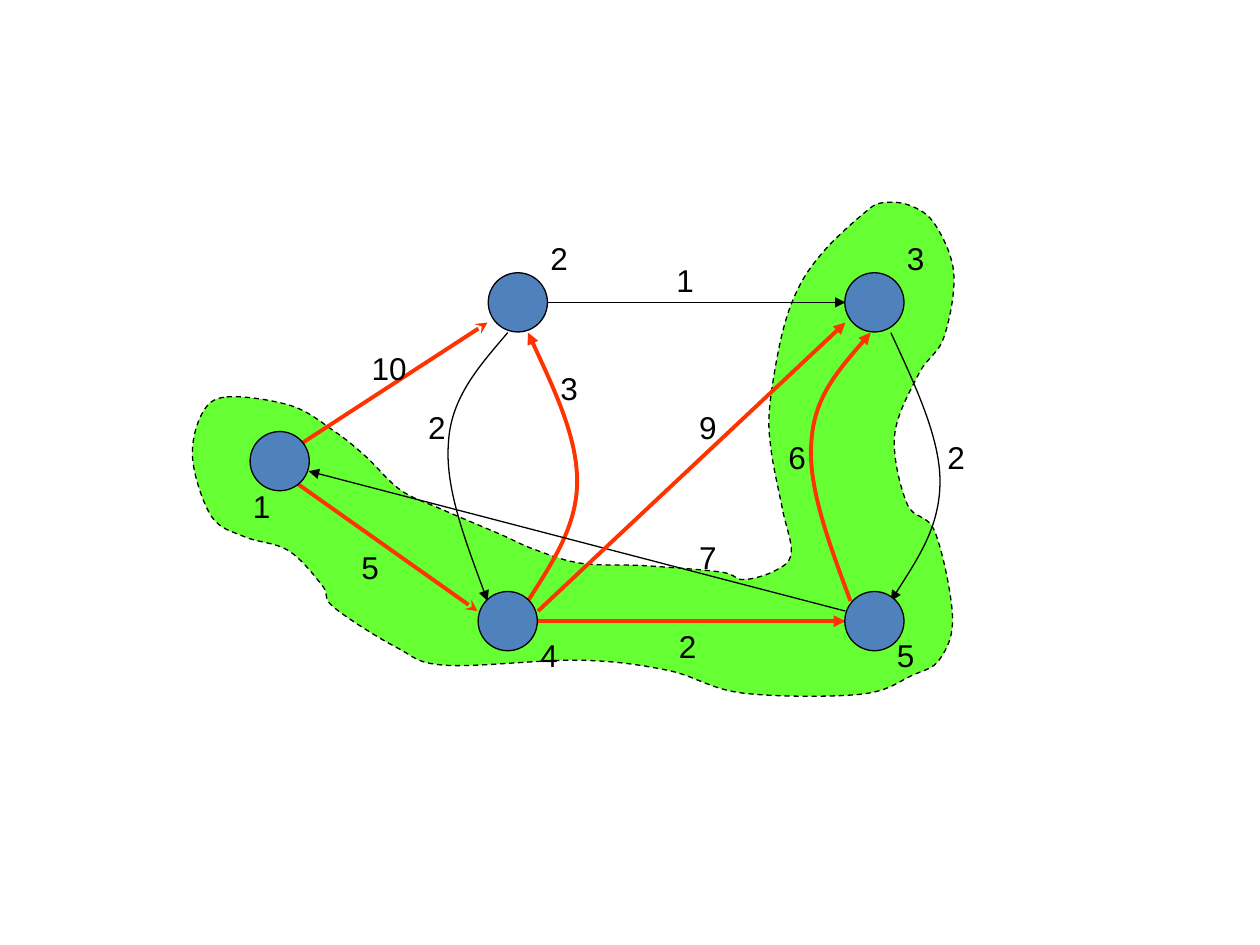
from collections import namedtuple
from lxml.etree import SubElement
from pptx import Presentation
from pptx.dml.color import RGBColor
from pptx.enum.dml import MSO_LINE
from pptx.enum.shapes import MSO_CONNECTOR, MSO_SHAPE
from pptx.oxml.ns import qn
from pptx.util import Inches, Pt

Theme = namedtuple("Theme", "font text_size region node ink chosen thin thick")
THEME = Theme("Arial", 18, "66FF33", "4F81BD", "000000", "FF3300", 0.75, 2.25)
Edge = namedtuple("Edge", "weight label points chosen arrowhead", defaults=(False, "triangle"))
NODE_SIZE = 0.47
LABEL_HEIGHT = 0.4
LABEL_WIDTHS = {1: 0.34, 2: 0.48}
COLUMN_GAP = 2.88

NODES = [
    ("1", (2.22, 3.66), (1.91, 3.82)),
    ("2", (4.11, 2.4), (4.27, 1.85)),
    ("3", (6.94, 2.4), (7.1, 1.85)),
    ("4", (4.03, 4.93), (4.19, 5)),
    ("5", (6.94, 4.93), (7.02, 5)),
]

BOW_RIGHT = [(4.19, 4.77), (4.38, 4.47), (4.58, 4.18), (4.58, 3.82),
             (4.58, 3.47), (4.38, 3.05), (4.19, 2.64)]
BOW_LEFT = [(4.03, 2.64), (3.81, 2.9), (3.58, 3.15), (3.56, 3.51),
            (3.53, 3.86), (3.7, 4.31), (3.87, 4.77)]


def opposite(points):
    return [(x + COLUMN_GAP, y) for x, y in reversed(points)]


EDGES = [
    Edge("10", (2.85, 2.72), [(2.3, 3.58), (3.87, 2.56)], True, "stealth"),
    Edge("1", (5.27, 2.02), [(4.35, 2.4), (6.71, 2.4)]),
    Edge("5", (2.77, 4.3), [(2.22, 3.74), (3.79, 4.85)], True, "stealth"),
    Edge("3", (4.35, 2.88), BOW_RIGHT, True),
    Edge("2", (3.3, 3.19), BOW_LEFT),
    Edge("2", (5.29, 4.93), [(4.27, 4.93), (6.71, 4.93)], True),
    Edge("2", (7.42, 3.43), opposite(BOW_RIGHT)),
    Edge("6", (6.16, 3.43), opposite(BOW_LEFT), True),
    Edge("7", (5.45, 4.22), [(6.71, 4.85), (2.45, 3.74)]),
    Edge("9", (5.45, 3.19), [(4.27, 4.85), (6.71, 2.56)], True),
]

REGION = [
    (1.8, 3.15), (2.31, 3.22), (2.65, 3.42), (2.9, 3.62), (3.18, 3.89),
    (3.5, 4.04), (3.97, 4.24), (4.24, 4.36), (4.61, 4.47), (5.12, 4.49),
    (5.72, 4.54), (5.9, 4.6), (6.15, 4.53), (6.28, 4.39), (6.21, 4.04),
    (6.12, 3.57), (6.11, 3.22), (6.21, 2.64), (6.35, 2.26), (6.56, 1.97),
    (6.86, 1.69), (7.0, 1.61), (7.22, 1.63), (7.42, 1.78), (7.57, 2.17),
    (7.49, 2.68), (7.29, 2.97), (7.1, 3.46), (7.2, 4), (7.42, 4.22),
    (7.56, 4.89), (7.46, 5.23), (7.24, 5.36), (6.83, 5.51), (5.89, 5.5),
    (5.3, 5.32), (4.6, 5.24), (3.54, 5.28), (3.15, 5.14), (2.65, 4.82),
    (2.56, 4.65), (2.29, 4.37), (1.94, 4.26), (1.68, 4.1), (1.53, 3.65),
    (1.6, 3.29),
]


def smooth_loop(anchors):
    points = [anchors[0]]
    for i, here in enumerate(anchors):
        before, after, beyond = (anchors[(i + k) % len(anchors)] for k in (-1, 1, 2))
        leave = tuple(h + (a - b) / 6 for h, a, b in zip(here, after, before))
        arrive = tuple(a - (n - h) / 6 for a, n, h in zip(after, beyond, here))
        points += [leave, arrive, after]
    return points


def set_line(shape, color, width):
    shape.line.color.rgb = RGBColor.from_string(color)
    shape.line.width = Pt(width)


def set_fill(shape, color):
    shape.fill.solid()
    shape.fill.fore_color.rgb = RGBColor.from_string(color)


def add_curve(slide, points, close=False):
    start, *controls = [(Inches(x), Inches(y)) for x, y in points]
    builder = slide.shapes.build_freeform(*start)
    builder.add_line_segments(controls, close=close)
    curve = builder.convert_to_shape()
    curve.shadow.inherit = False
    steps = list(curve.element.iter(qn("a:lnTo")))[:len(controls)]
    for first in range(0, len(steps), 3):
        group = steps[first:first + 3]
        bezier = group[0].makeelement(qn("a:cubicBezTo"))
        group[0].addprevious(bezier)
        for step in group:
            bezier.append(step[0])
            step.getparent().remove(step)
    return curve


def add_edge(slide, edge):
    if len(edge.points) == 2:
        (x1, y1), (x2, y2) = edge.points
        arrow = slide.shapes.add_connector(
            MSO_CONNECTOR.STRAIGHT, Inches(x1), Inches(y1), Inches(x2), Inches(y2))
    else:
        arrow = add_curve(slide, edge.points)
        arrow.fill.background()
    set_line(arrow, *((THEME.chosen, THEME.thick) if edge.chosen else (THEME.ink, THEME.thin)))
    properties = arrow.element.spPr
    SubElement(properties.find(qn("a:ln")), qn("a:tailEnd"), type=edge.arrowhead)
    if properties.find(qn("a:effectLst")) is None:
        SubElement(properties, qn("a:effectLst"))


def add_label(slide, text, position, *, size=THEME.text_size, color=THEME.ink):
    left, top = position
    label = slide.shapes.add_textbox(
        Inches(left), Inches(top), Inches(LABEL_WIDTHS[len(text)]), Inches(LABEL_HEIGHT))
    label.text_frame.word_wrap = False
    run = label.text_frame.paragraphs[0].add_run()
    run.text = text
    run.font.name = THEME.font
    run.font.size = Pt(size)
    run.font.color.rgb = RGBColor.from_string(color)


def add_node(slide, center):
    left, top = (Inches(middle - NODE_SIZE / 2) for middle in center)
    node = slide.shapes.add_shape(
        MSO_SHAPE.OVAL, left, top, Inches(NODE_SIZE), Inches(NODE_SIZE))
    node.shadow.inherit = False
    set_fill(node, THEME.node)
    set_line(node, THEME.ink, THEME.thin)


def main():
    deck = Presentation()
    deck.slide_width, deck.slide_height = Inches(10), Inches(7.5)
    slide = deck.slides.add_slide(deck.slide_layouts[6])

    region = add_curve(slide, smooth_loop(REGION), close=True)
    set_fill(region, THEME.region)
    set_line(region, THEME.ink, THEME.thin)
    region.line.dash_style = MSO_LINE.DASH

    for edge in EDGES:
        add_edge(slide, edge)
    for name, center, label in NODES:
        add_node(slide, center)
        add_label(slide, name, label)
    for edge in EDGES:
        add_label(slide, edge.weight, edge.label)

    deck.save("out.pptx")


if __name__ == "__main__":
    main()
